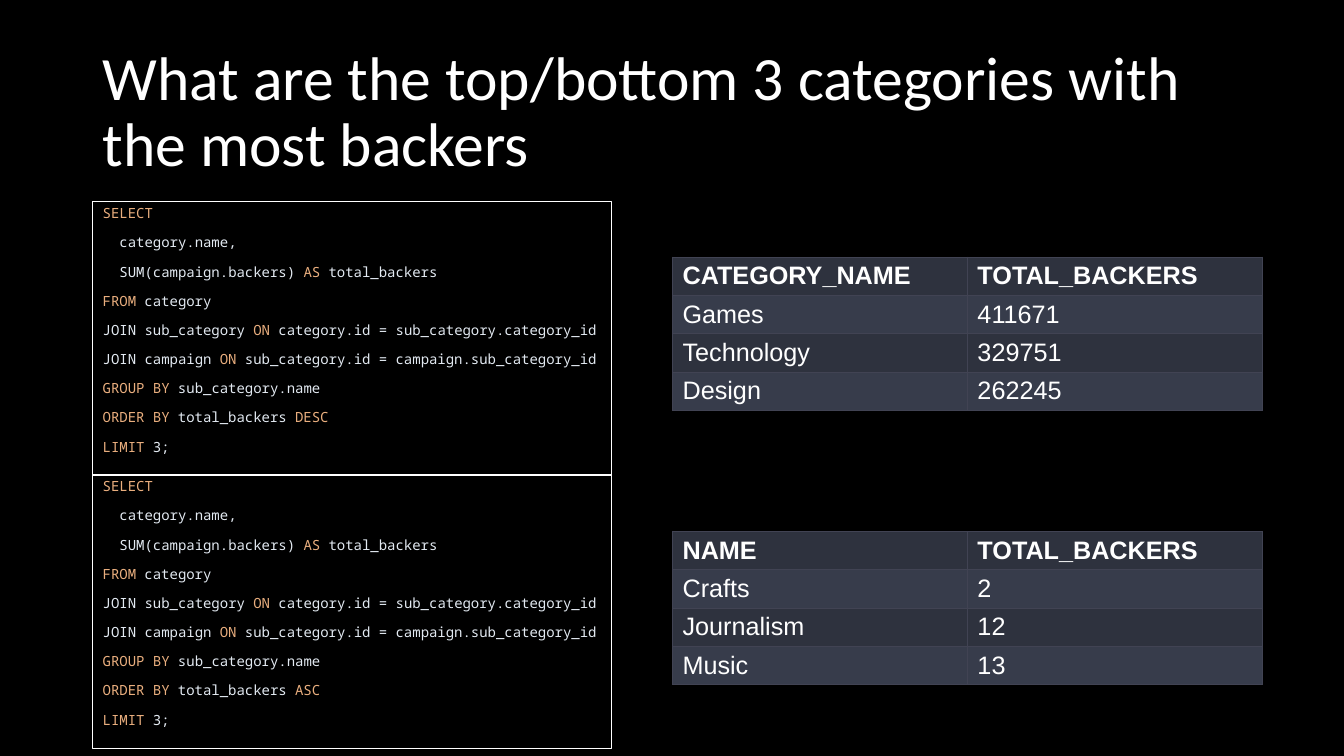
from dataclasses import dataclass

import lxml.etree
import pptx
import pptx.dml.color
import pptx.enum.shapes
import pptx.enum.text
import pptx.oxml.ns
import pptx.util

Inches = pptx.util.Inches
Pt = pptx.util.Pt
RGBColor = pptx.dml.color.RGBColor

BLACK = RGBColor(0x00, 0x00, 0x00)
WHITE = RGBColor(0xFF, 0xFF, 0xFF)
KEYWORD = RGBColor(0xE9, 0xAE, 0x7E)
CODE = RGBColor(0xE3, 0xEA, 0xF2)
ROW_FILLS = (RGBColor(0x2E, 0x32, 0x3E), RGBColor(0x37, 0x3C, 0x4B))
BORDER = RGBColor(0x41, 0x43, 0x53)

LEFT = Inches(0.92)
QUERY_TEMPLATE = (
    "|SELECT|",
    "\u00a0 category.name,",
    "\u00a0 SUM(campaign.backers) |AS |total_backers",
    "|FROM| category",
    "JOIN sub_category |ON| category.id = sub_category.category_id",
    "JOIN campaign |ON| sub_category.id = campaign.sub_category_id",
    "|GROUP BY| sub_category.name",
    "|ORDER BY |total_backers |{order}|",
    "|LIMIT| 3;",
)


@dataclass
class Ranking:
    query_top: float
    table_top: float
    order: str
    rows: tuple[tuple[str, str], ...]


RANKINGS = (
    Ranking(2, 2.55, "DESC", (
        ("CATEGORY_NAME", "TOTAL_BACKERS"),
        ("Games", "411671"),
        ("Technology", "329751"),
        ("Design", "262245"),
    )),
    Ranking(4.71, 5.27, "ASC", (
        ("NAME", "TOTAL_BACKERS"),
        ("Crafts", "2"),
        ("Journalism", "12"),
        ("Music", "13"),
    )),
)


def add_title(s: pptx.slide.Slide, text: str) -> None:
    tf = s.shapes.add_textbox(LEFT, Inches(0.4), Inches(11.5), Inches(1.45)).text_frame
    tf.word_wrap = True
    tf.vertical_anchor = pptx.enum.text.MSO_ANCHOR.MIDDLE
    p = tf.paragraphs[0]
    p.text = text
    p.line_spacing = 0.9
    p.font.name = "Calibri"
    p.font.size = Pt(44)
    p.font.color.rgb = WHITE


def add_query(s: pptx.slide.Slide, ranking: Ranking) -> None:
    sp = s.shapes.add_shape(
        pptx.enum.shapes.MSO_SHAPE.RECTANGLE,
        LEFT, Inches(ranking.query_top), Inches(5.15), Inches(2.72),
    )
    sp.shadow.inherit = False
    sp.fill.background()
    sp.line.color.rgb = WHITE
    sp.line.width = Pt(0.75)
    tf = sp.text_frame
    tf.word_wrap = True
    tf.vertical_anchor = pptx.enum.text.MSO_ANCHOR.TOP
    for i, line in enumerate(QUERY_TEMPLATE):
        p = tf.add_paragraph() if i else tf.paragraphs[0]
        p.alignment = pptx.enum.text.PP_ALIGN.LEFT
        p.line_spacing = 0.9
        p.space_before = Pt(10)
        p.font.name = "Noto Sans Mono"
        p.font.size = Pt(10)
        for j, part in enumerate(line.format(order=ranking.order).split("|")):
            if part:
                r = p.add_run()
                r.text = part
                r.font.color.rgb = KEYWORD if j % 2 else CODE


def add_borders(cell: pptx.table._Cell) -> None:
    tc_pr = cell._tc.get_or_add_tcPr()
    qn = pptx.oxml.ns.qn
    for i, side in enumerate(("a:lnL", "a:lnR", "a:lnT", "a:lnB")):
        ln = lxml.etree.Element(qn(side), w=str(Pt(0.5)))
        fill = lxml.etree.SubElement(ln, qn("a:solidFill"))
        lxml.etree.SubElement(fill, qn("a:srgbClr"), val=str(BORDER))
        tc_pr.insert(i, ln)


def add_ranking_table(s: pptx.slide.Slide, ranking: Ranking) -> None:
    table = s.shapes.add_table(
        len(ranking.rows), 2,
        Inches(6.67), Inches(ranking.table_top), Inches(5.85), Inches(1.52),
    ).table
    for i, row in enumerate(ranking.rows):
        for j, text in enumerate(row):
            cell = table.cell(i, j)
            cell.fill.solid()
            cell.fill.fore_color.rgb = ROW_FILLS[i % 2]
            cell.vertical_anchor = pptx.enum.text.MSO_ANCHOR.MIDDLE
            cell.margin_top = cell.margin_bottom = Inches(0.04)
            add_borders(cell)
            p = cell.text_frame.paragraphs[0]
            p.text = text
            p.font.name = "Arial"
            p.font.size = Pt(18)
            p.font.bold = i == 0
            p.font.color.rgb = WHITE


prs = pptx.Presentation()
prs.slide_width = Inches(13.33)
prs.slide_height = Inches(7.5)
s = prs.slides.add_slide(prs.slide_layouts[6])
s.background.fill.solid()
s.background.fill.fore_color.rgb = BLACK

add_title(s, "What are the top/bottom 3 categories with the most backers")
for ranking in RANKINGS:
    add_query(s, ranking)
    add_ranking_table(s, ranking)

prs.save("out.pptx")
